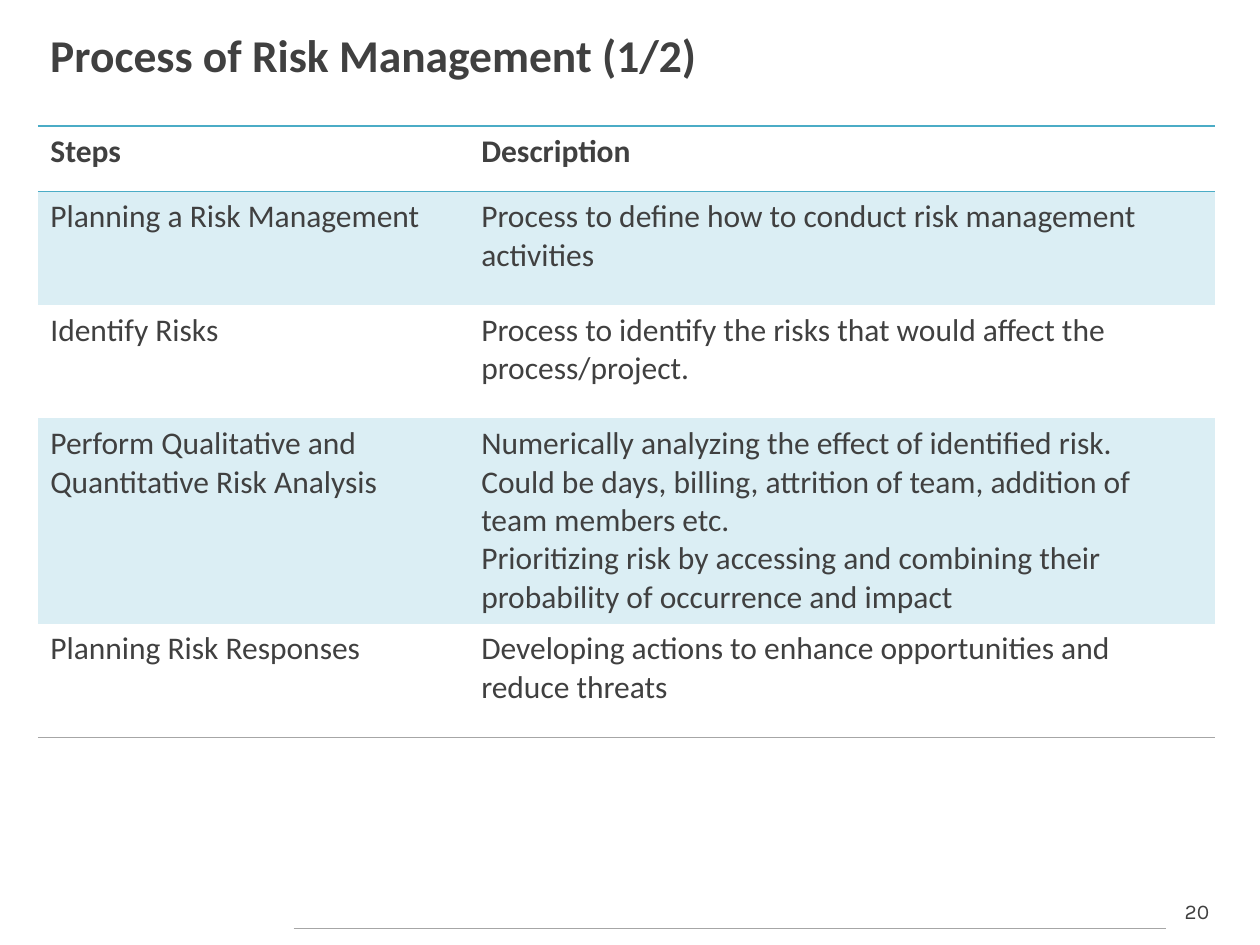
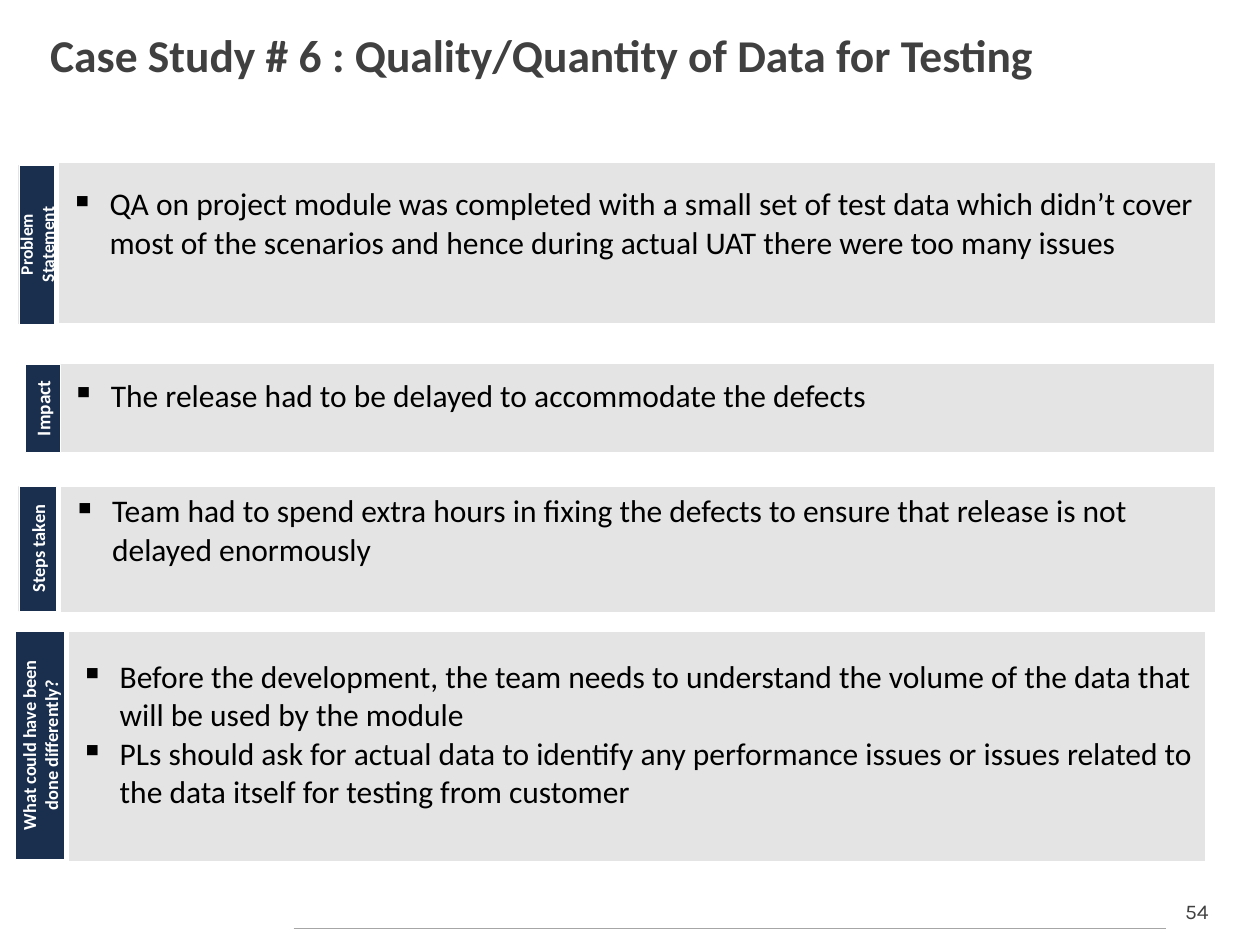
import pptx
import pptx.util
import pptx.dml.color
import pptx.enum.shapes
import pptx.enum.text
import pptx.oxml.ns
import lxml.etree

Inches = pptx.util.Inches
Pt = pptx.util.Pt
RGB = pptx.dml.color.RGBColor
ALIGN = pptx.enum.text.PP_ALIGN
ANCHOR = pptx.enum.text.MSO_ANCHOR

DARK = RGB(0x40, 0x40, 0x40)
BLACK = RGB(0, 0, 0)
WHITE = RGB(0xFF, 0xFF, 0xFF)
TEAL = RGB(0x4B, 0xAC, 0xC6)
PALE = RGB(0xDB, 0xEE, 0xF4)
RULE = RGB(0xA6, 0xA6, 0xA6)
NAVY = RGB(0x1A, 0x2F, 0x4E)
GREY = RGB(0xE4, 0xE4, 0xE4)

STEPS = [
    (0.52, "Steps", ["Description"]),
    (0.9, "Planning a Risk Management",
     ["Process to define how to conduct risk management activities"]),
    (0.9, "Identify Risks",
     ["Process to identify the risks that would affect the process/project."]),
    (1.63, "Perform Qualitative and Quantitative Risk Analysis",
     ["Numerically analyzing the effect of identified risk.",
      "Could be days, billing, attrition of team, addition of team members etc.",
      "Prioritizing risk by accessing and combining their probability of "
      "occurrence and impact"]),
    (0.9, "Planning Risk Responses",
     ["Developing actions to enhance opportunities and reduce threats"]),
]

# Card and tag boxes are left, top, width, height as seen on the slide.
CASES = [
    {"tag": ["Problem", "Statement"], "size": 10,
     "tagbox": (0.15, 1.31, 0.28, 1.26), "card": (0.46, 1.29, 9.19, 1.28),
     "pad": 0.35,
     "points": ["QA on project module was completed with a small set of test data "
                "which didn’t cover most of the scenarios and hence during actual "
                "UAT there were too many issues"]},
    {"tag": ["Impact"], "size": 11,
     "tagbox": (0.2, 2.89, 0.28, 0.7), "card": (0.47, 2.88, 9.17, 0.71),
     "pad": 0.23,
     "points": ["The release had to be delayed to accommodate the defects"]},
    {"tag": ["Steps taken"], "size": 10.5,
     "tagbox": (0.15, 3.86, 0.3, 0.99), "card": (0.48, 3.86, 9.17, 1),
     "pad": 0.35,
     "points": ["Team had to spend extra hours in fixing the defects to ensure "
                "that release is not delayed enormously"]},
    {"tag": ["What could have been done differently?"], "size": 10.5,
     "tagbox": (0.12, 5.01, 0.39, 1.81), "card": (0.54, 5.01, 9.03, 1.83),
     "pad": 0.23,
     "points": ["Before the development, the team needs to understand the volume "
                "of the data that will be used by the module",
                "PLs should ask for actual data to identify any performance issues "
                "or issues related to the data itself for testing from customer"]},
]


def add(parent, tag, **attrs):
    return lxml.etree.SubElement(parent, pptx.oxml.ns.qn(tag), **attrs)


def write(frame, lines, size=18, color=DARK, bold=False, font="Calibri",
          align=ALIGN.LEFT, anchor=ANCHOR.TOP, bullet=None):
    frame.word_wrap = True
    frame.vertical_anchor = anchor
    for i, line in enumerate(lines):
        para = frame.paragraphs[0] if i == 0 else frame.add_paragraph()
        para.alignment = align
        run = para.add_run()
        run.text = line
        run.font.size = Pt(size)
        run.font.name = font
        run.font.bold = bold
        run.font.color.rgb = color
        if bullet:
            props = para._p.get_or_add_pPr()
            props.set("marL", str(Inches(0.31)))
            props.set("indent", str(Inches(-0.31)))
            add(props, "a:buChar", char=bullet)


def label(slide, box, lines, **style):
    shape = slide.shapes.add_textbox(*map(Inches, box))
    write(shape.text_frame, lines, **style)


def edge(cell, **lines):
    """Draw the given sides (L, R, T, B) as (colour, points); clear the rest."""
    props = cell._tc.get_or_add_tcPr()
    for i, side in enumerate("LRTB"):
        color, width = lines.get(side, (None, 0))
        line = lxml.etree.Element(pptx.oxml.ns.qn("a:ln" + side), w=str(Pt(width)))
        if color is None:
            add(line, "a:noFill")
        else:
            add(add(line, "a:solidFill"), "a:srgbClr", val=str(color))
        props.insert(i, line)


def grid(slide, left, top, cols, rows):
    frame = slide.shapes.add_table(len(rows), len(cols), Inches(left), Inches(top),
                                   Inches(sum(cols)), Inches(sum(rows)))
    table = frame.table
    table.first_row = table.horz_banding = False
    for col, width in zip(table.columns, cols):
        col.width = Inches(width)
    for row, height in zip(table.rows, rows):
        row.height = Inches(height)
    return table


def paint(cell, color):
    if color is None:
        cell.fill.background()
    else:
        cell.fill.solid()
        cell.fill.fore_color.rgb = color


def page(deck, title, number):
    """Add a slide with the shared title, footer rule and number."""
    slide = deck.slides.add_slide(deck.slide_layouts[6])
    label(slide, (9.25, 7.08, 0.5, 0.3), [number], size=12, font="Karla",
          align=ALIGN.CENTER)
    rule = slide.shapes.add_connector(
        pptx.enum.shapes.MSO_CONNECTOR.STRAIGHT,
        Inches(2.33), Inches(7.37), Inches(9.25), Inches(7.37))
    rule.line.color.rgb = RULE
    rule.line.width = Pt(0.75)
    add(rule._element.spPr, "a:effectLst")
    label(slide, (0.3, 0.12, 9.36, 0.63), [title], size=26, bold=True,
          anchor=ANCHOR.MIDDLE)
    return slide


def process(slide):
    table = grid(slide, 0.3, 1, [3.42, 5.92], [step[0] for step in STEPS])
    last = len(STEPS) - 1
    teal = (TEAL, 1)
    sides = {0: {"T": teal, "B": teal}, 1: {"T": teal}, last: {"B": (RULE, 0.5)}}
    for r, (_, name, about) in enumerate(STEPS):
        for c, lines in enumerate(([name], about)):
            cell = table.cell(r, c)
            write(cell.text_frame, lines, bold=r == 0)
            paint(cell, PALE if r % 2 else None)
            edge(cell, **sides.get(r, {}))


def card(slide, case):
    left, top, width, height = case["card"]
    cell = grid(slide, left, top, [width], [height]).cell(0, 0)
    write(cell.text_frame, case["points"], color=BLACK, bullet="▪")
    cell.vertical_anchor = ANCHOR.MIDDLE
    cell.margin_bottom = Inches(case["pad"])
    paint(cell, GREY)
    edge(cell, **dict.fromkeys("LRTB", (WHITE, 1)))


def tag(slide, case):
    """Add a bar turned to read upwards, centred on its box."""
    left, top, width, height = case["tagbox"]
    shift = (height - width) / 2
    bar = slide.shapes.add_shape(
        pptx.enum.shapes.MSO_SHAPE.RECTANGLE, Inches(left - shift),
        Inches(top + shift), Inches(height), Inches(width))
    bar.rotation = 270
    bar.shadow.inherit = False
    bar.fill.solid()
    bar.fill.fore_color.rgb = NAVY
    bar.line.color.rgb = WHITE
    bar.line.width = Pt(0.25)
    write(bar.text_frame, case["tag"], size=case["size"], color=WHITE, bold=True,
          align=ALIGN.CENTER, anchor=ANCHOR.MIDDLE)


def main():
    deck = pptx.Presentation()
    deck.slide_width = Inches(10)
    deck.slide_height = Inches(7.5)
    process(page(deck, "Process of Risk Management (1/2)", "20"))
    study = page(deck, "Case Study # 6 : Quality/Quantity of Data for Testing", "54")
    for case in CASES:
        card(study, case)
        tag(study, case)
    deck.save("out.pptx")


if __name__ == "__main__":
    main()
